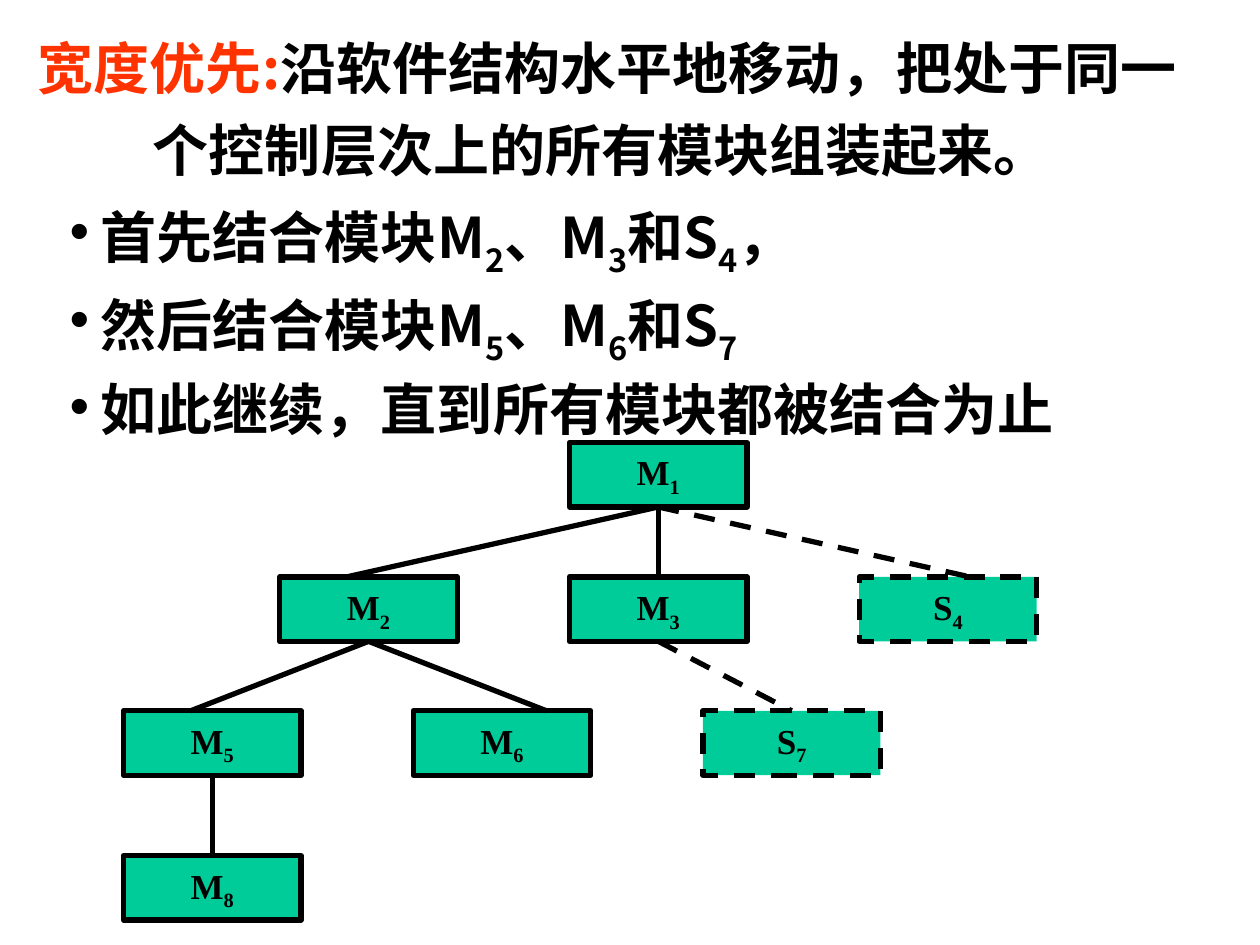
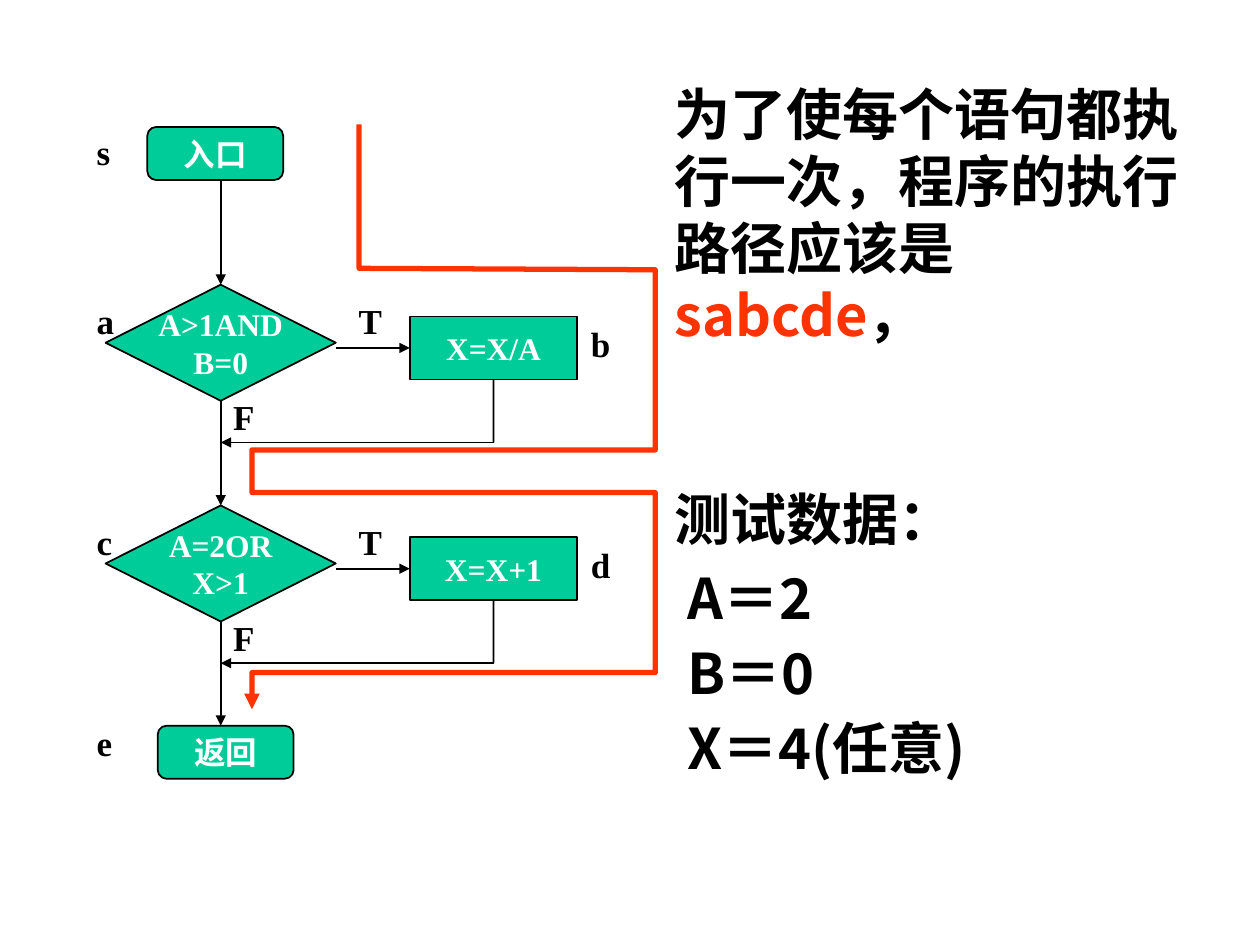
from dataclasses import dataclass

from lxml.etree import SubElement
from pptx import Presentation
from pptx.dml.color import RGBColor
from pptx.enum.dml import MSO_LINE
from pptx.enum.shapes import MSO_CONNECTOR, MSO_SHAPE
from pptx.enum.text import MSO_ANCHOR, MSO_AUTO_SIZE, PP_ALIGN
from pptx.oxml.ns import qn
from pptx.util import Cm, Pt

TOP, LEFT, BOTTOM = 0, 1, 2


@dataclass(frozen=True)
class Theme:
    ink: str = "000000"
    paper: str = "FFFFFF"
    accent: str = "FF3300"
    node: str = "00CC99"
    cjk: str = "Noto Sans CJK SC"
    serif: str = "Times New Roman"
    body_size: int = 32
    label_size: int = 20
    step_size: int = 18
    thick: int = 3
    thin: int = 1
    paragraph_gap: int = 20


@dataclass(frozen=True)
class Box:
    """A region in centimetres."""
    left: float
    top: float
    width: float
    height: float

    def inner(self, x, y, width, height):
        return Box(self.left + x, self.top + y, width, height)

    def point(self, x, y):
        return Cm(self.left + x), Cm(self.top + y)

    def lengths(self):
        return [Cm(v) for v in (self.left, self.top, self.width, self.height)]


THEME = Theme()


def add_text(paragraph, text, size=THEME.body_size, font=THEME.cjk, color=THEME.ink):
    """Append bold text; a character after "_" becomes a subscript, "\\n" a line break."""

    def add_run(part, subscript=False):
        run = paragraph.add_run()
        run.text = part
        run.font.size = Pt(size)
        run.font.bold = True
        run.font.color.rgb = RGBColor.from_string(color)
        run.font.name = font
        properties = run._r.get_or_add_rPr()
        SubElement(properties, qn("a:ea")).set("typeface", THEME.cjk)
        if subscript:
            properties.set("baseline", "-25000")

    for number, line in enumerate(text.split("\n")):
        if number:
            paragraph.add_line_break()
        plain, *marked = line.split("_")
        add_run(plain)
        for part in marked:
            add_run(part[0], subscript=True)
            if part[1:]:
                add_run(part[1:])


def format_paragraph(paragraph, indent=0, bullet=False, spacing=1.0, before=0, justify=False):
    properties = paragraph._p.get_or_add_pPr()
    if bullet:
        paragraph.level = 1
        SubElement(properties, qn("a:buChar")).set("char", "•")
    else:
        SubElement(properties, qn("a:buNone"))
    properties.set("marL", str(Cm(indent)))
    properties.set("indent", str(Cm(-0.63) if bullet else 0))
    paragraph.line_spacing = spacing
    paragraph.space_before = Pt(before)
    paragraph.alignment = PP_ALIGN.JUSTIFY if justify else PP_ALIGN.LEFT


def fill_body(slide, box, paragraphs):
    """Fill the body placeholder with (coloured parts, paragraph format) pairs."""
    body = slide.placeholders[1]
    body.left, body.top, body.width, body.height = box.lengths()
    frame = body.text_frame
    frame.auto_size = MSO_AUTO_SIZE.NONE
    frame.vertical_anchor = MSO_ANCHOR.TOP
    for number, (parts, layout) in enumerate(paragraphs):
        paragraph = frame.add_paragraph() if number else frame.paragraphs[0]
        default_gap = THEME.paragraph_gap if number else 0
        format_paragraph(paragraph, **{"before": default_gap, **layout})
        for text, color in parts:
            add_text(paragraph, text, color=color)


def style_line(line, width, color=THEME.ink, dashed=False):
    line.color.rgb = RGBColor.from_string(color)
    line.width = Pt(width)
    if dashed:
        line.dash_style = MSO_LINE.DASH


def add_arrowhead(line_owner):
    line = line_owner.line._get_or_add_ln()
    SubElement(line, qn("a:tailEnd")).set("type", "triangle")


def add_node(slide, kind, box, label, width, dashed=False, **text_format):
    node = slide.shapes.add_shape(kind, *box.lengths())
    node.shadow.inherit = False
    node.fill.solid()
    node.fill.fore_color.rgb = RGBColor.from_string(THEME.node)
    style_line(node.line, width, dashed=dashed)
    frame = node.text_frame
    frame.margin_left = frame.margin_right = frame.margin_top = frame.margin_bottom = 0
    frame.word_wrap = False
    frame.vertical_anchor = MSO_ANCHOR.MIDDLE
    frame.paragraphs[0].alignment = PP_ALIGN.CENTER
    add_text(frame.paragraphs[0], label, font=THEME.serif, **text_format)
    return node


def add_link(slide, start, end, width, dashed=False, arrow=False):
    """Draw a line; each end is a point or a (shape, side) pair to join."""
    def is_joined(place):
        return hasattr(place[0], "shape_id")

    begin_point = (0, 0) if is_joined(start) else start
    end_point = (0, 0) if is_joined(end) else end
    link = slide.shapes.add_connector(MSO_CONNECTOR.STRAIGHT, *begin_point, *end_point)
    if is_joined(start):
        link.begin_connect(*start)
    if is_joined(end):
        link.end_connect(*end)
    style_line(link.line, width, dashed=dashed)
    if arrow:
        add_arrowhead(link)
    SubElement(link._element.spPr, qn("a:effectLst"))
    return link


def draw_module_tree(slide, box):
    node_width, node_height, pitch = 3.58, 1.3, 5.84
    rows = (0, 2.71, 5.41, 8.33)
    # module: (row, left edge of the row's grid, column)
    places = {
        "M_1": (0, 3.15, 1),
        "M_2": (1, 3.15, 0), "M_3": (1, 3.15, 1), "S_4": (1, 3.15, 2),
        "M_5": (2, 0, 0), "M_6": (2, 0, 1), "S_7": (2, 0, 2),
        "M_8": (3, 0, 0),
    }
    # parent, child, distance of the line's end from the middle of the child
    calls = (
        ("M_1", "M_3", 0), ("M_1", "M_2", -0.44), ("M_1", "S_4", 0.44),
        ("M_3", "S_7", 0), ("M_2", "M_5", -0.44), ("M_2", "M_6", 0.9),
        ("M_5", "M_8", 0),
    )
    modules = {}
    for name, (row, offset, column) in places.items():
        place = box.inner(offset + column * pitch, rows[row], node_width, node_height)
        modules[name] = add_node(slide, MSO_SHAPE.RECTANGLE, place, name, THEME.thick,
                                 dashed=name.startswith("S"), size=THEME.label_size)
    for parent, child, shift in calls:
        module = modules[child]
        end = (module, TOP)
        if shift:
            end = (module.left + module.width // 2 + Cm(shift), module.top)
        add_link(slide, (modules[parent], BOTTOM), end, THEME.thick,
                 dashed=child.startswith("S"))


def add_label(slide, box, x, y, text):
    label = slide.shapes.add_textbox(*box.inner(x, y, 1.07, 1.12).lengths())
    label.text_frame.word_wrap = True
    add_text(label.text_frame.paragraphs[0], text, size=THEME.label_size, font=THEME.serif)


def draw_decision_stage(slide, box, condition, action, names):
    """Draw a decision with its true branch and return the decision."""
    step = dict(width=THEME.thin, size=THEME.step_size, color=THEME.paper)
    axis, return_x, return_y = 2.75, 8.25, 3.18
    action_top, action_height, label_top = 0.64, 1.27, 0.18
    decision = add_node(slide, MSO_SHAPE.FLOWCHART_DECISION,
                        box.inner(0.43, 0, 4.64, 2.34), condition, **step)
    process = add_node(slide, MSO_SHAPE.RECTANGLE,
                       box.inner(6.56, action_top, 3.38, action_height), action, **step)
    add_link(slide, box.point(5.07, action_top + action_height / 2), (process, LEFT),
             THEME.thin, arrow=True)
    add_link(slide, (process, BOTTOM), box.point(return_x, return_y), THEME.thin)
    add_link(slide, box.point(return_x, return_y), box.point(axis, return_y),
             THEME.thin, arrow=True)
    decision_name, action_name = names
    add_label(slide, box, 0, label_top, decision_name)
    add_label(slide, box, 9.96, action_top, action_name)
    add_label(slide, box, 5.28, label_top, "T")
    add_label(slide, box, axis, 2.11, "F")
    return decision


def draw_flowchart(slide, box):
    axis, stage_top, stage_pitch, exit_top = 2.75, 3.23, 4.45, 12.12
    stages = (
        ("A>1AND\nB=0", "X=X/A", "ab"),
        ("A=2OR\nX>1", "X=X+1", "cd"),
    )
    for x, y, text, name, name_y in ((1.27, 0.05, "入口", "s", 0),
                                     (1.48, exit_top, "返回", "e", 11.92)):
        add_node(slide, MSO_SHAPE.FLOWCHART_ALTERNATE_PROCESS,
                 box.inner(x, y, 2.74, 1.07), text, THEME.thin,
                 size=THEME.step_size, color=THEME.paper)
        add_label(slide, box, 0, name_y, name)
    previous = box.point(axis, 1.12)
    for number, stage in enumerate(stages):
        region = box.inner(0, stage_top + number * stage_pitch, box.width, stage_pitch)
        decision = draw_decision_stage(slide, region, *stage)
        add_link(slide, previous, (decision, TOP), THEME.thin, arrow=True)
        previous = (decision, BOTTOM)
    add_link(slide, previous, box.point(axis, exit_top), THEME.thin, arrow=True)


def draw_execution_path(slide, box):
    right, turn = box.width, 2.16
    corners = [(turn, 0), (turn, 2.9), (right, 2.93), (right, 6.56), (0, 6.56),
               (0, 7.42), (right, 7.42), (right, 11.05), (0, 11.05), (0, box.height)]
    start, *others = [box.point(x, y) for x, y in corners]
    builder = slide.shapes.build_freeform(*start)
    builder.add_line_segments(others, close=False)
    route = builder.convert_to_shape()
    route.shadow.inherit = False
    route.fill.background()
    style_line(route.line, THEME.thick, THEME.accent)
    add_arrowhead(route)


def add_body_slide(presentation):
    slide = presentation.slides.add_slide(presentation.slide_layouts[1])
    title = slide.shapes.title._element
    title.getparent().remove(title)
    return slide


def build_breadth_first(presentation):
    slide = add_body_slide(presentation)
    line = dict(spacing=0.7, justify=True)
    steps = ("首先结合模块M_2、M_3和S_4，", "然后结合模块M_5、M_6和S_7",
             "如此继续，直到所有模块都被结合为止")
    definition = [
        ([("宽度优先:", THEME.accent), ("沿软件结构水平地移动，把处于同一", THEME.ink)], line),
        ([("个控制层次上的所有模块组装起来。", THEME.ink)], dict(indent=2.32, **line)),
    ]
    bullets = [([(step, THEME.ink)], dict(indent=1.27, bullet=True, **line)) for step in steps]
    fill_body(slide, Box(0.51, 0.91, 24.41, 8.08), definition + bullets)
    draw_module_tree(slide, Box(2.49, 8.92, 18.41, 9.63))


def build_statement_coverage(presentation):
    slide = add_body_slide(presentation)
    value = dict(indent=0.26, spacing=0.6, justify=True)
    path_text = [
        ([("为了使每个语句都执行一次，程序的执行路径应该是", THEME.ink),
          ("sabcde", THEME.accent), ("，", THEME.ink)], {}),
        ([("测试数据：", THEME.ink)], dict(before=78)),
    ]
    test_data = [([(text, THEME.ink)], value) for text in ("A＝2", "B＝0", "X＝4(任意)")]
    fill_body(slide, Box(13.34, 1.47, 10.8, 17.12), path_text + test_data)
    draw_flowchart(slide, Box(1.7, 2.51, 11.03, 13.19))
    draw_execution_path(slide, Box(5.08, 2.51, 8.13, 11.79))


def main():
    presentation = Presentation()
    presentation.slide_width, presentation.slide_height = Cm(25.4), Cm(19.05)
    build_breadth_first(presentation)
    build_statement_coverage(presentation)
    presentation.save("out.pptx")


if __name__ == "__main__":
    main()
